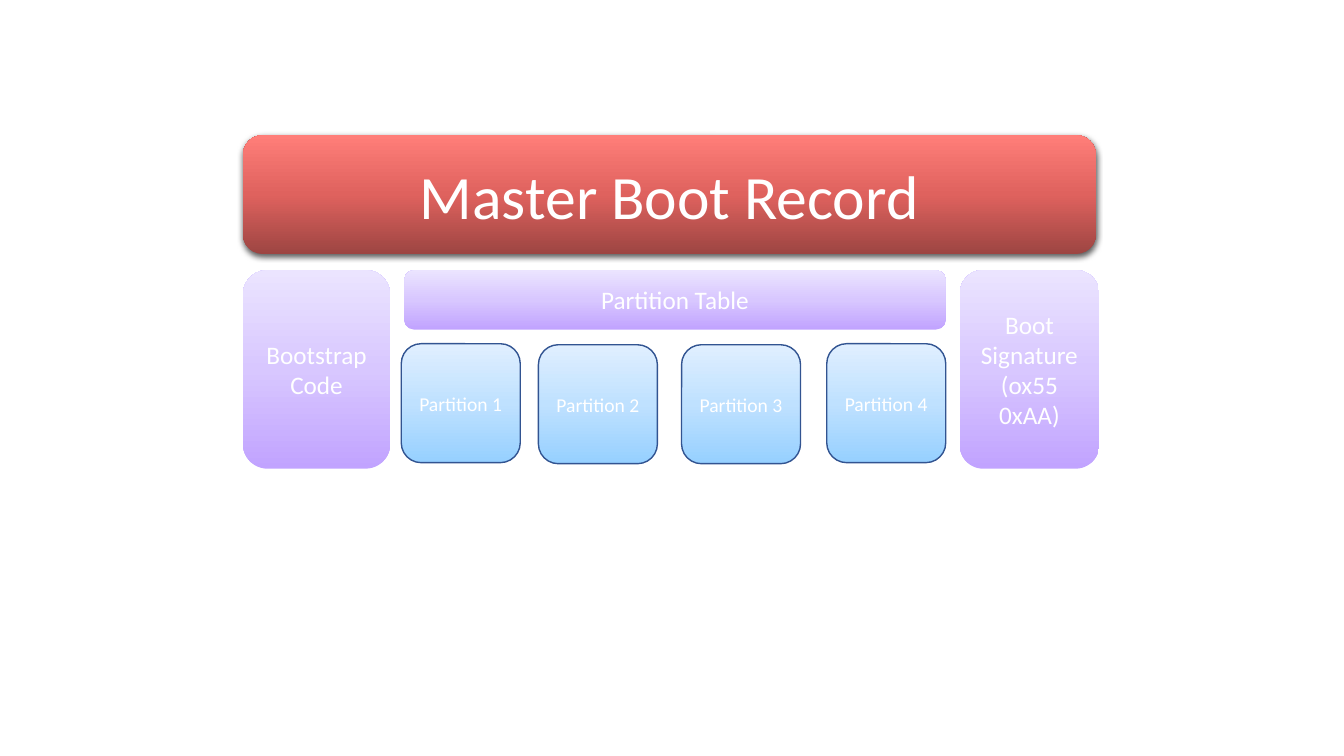
from dataclasses import dataclass
from copy import deepcopy

from lxml.etree import SubElement
from pptx import Presentation
from pptx.dml.color import RGBColor
from pptx.enum.shapes import MSO_SHAPE
from pptx.enum.text import MSO_ANCHOR, PP_ALIGN
from pptx.oxml.ns import qn
from pptx.util import Inches, Pt


@dataclass(frozen=True)
class Theme:
    font: str = "Calibri"
    text: str = "FFFFFF"
    outline: str = "325491"
    shadow: str = "000000"
    # Gradients run from bottom to top
    red: tuple = ("9D4542", "DF625E", "FF7E79")
    purple: tuple = ("C1A3FF", "D8C7FF", "EBE4FF")
    blue: tuple = ("96D0FF", "BFE1FF", "E0EFFF")
    title_size: int = 44
    section_size: int = 18
    partition_size: int = 14


class Diagram:
    def __init__(self, slide, theme):
        self.slide = slide
        self.theme = theme

    def box(self, text, left, top, width, height, colors, size):
        sp = self.slide.shapes.add_shape(
            MSO_SHAPE.ROUNDED_RECTANGLE,
            Inches(left), Inches(top), Inches(width), Inches(height))
        sp.shadow.inherit = False
        sp.line.fill.background()
        self.fill_gradient(sp, colors)
        self.set_label(sp.text_frame, text, size)
        return sp

    def title(self, text, *bounds):
        sp = self.box(text, *bounds, self.theme.red, self.theme.title_size)
        self.drop_shadow(sp)

    def section(self, text, *bounds):
        self.box(text, *bounds, self.theme.purple, self.theme.section_size)

    def partition(self, text, *bounds):
        sp = self.box(text, *bounds, self.theme.blue, self.theme.partition_size)
        sp.line.color.rgb = RGBColor.from_string(self.theme.outline)
        sp.line.width = Pt(1)

    def fill_gradient(self, sp, colors):
        """Fill with three evenly spaced colours from bottom to top."""
        sp.fill.gradient()
        sp.fill.gradient_angle = 90
        stops = sp._element.spPr.find(qn("a:gradFill")).find(qn("a:gsLst"))
        stops.insert(1, deepcopy(stops[0]))
        for i, (stop, color) in enumerate(zip(sp.fill.gradient_stops, colors)):
            stop.position = i / 2
            stop.color.rgb = RGBColor.from_string(color)

    def drop_shadow(self, sp):
        effects = sp._element.spPr.find(qn("a:effectLst"))
        shadow = SubElement(effects, qn("a:outerShdw"), blurRad=str(Pt(4.5)),
                            dist=str(Pt(1.5)), dir="5400000", rotWithShape="0")
        color = SubElement(shadow, qn("a:srgbClr"), val=self.theme.shadow)
        SubElement(color, qn("a:alpha"), val="63000")

    def set_label(self, tf, text, size):
        tf.text = text
        tf.word_wrap = True
        tf.vertical_anchor = MSO_ANCHOR.MIDDLE
        for p in tf.paragraphs:
            p.alignment = PP_ALIGN.CENTER
            for r in p.runs:
                r.font.name = self.theme.font
                r.font.size = Pt(size)
                r.font.color.rgb = RGBColor.from_string(self.theme.text)


def main():
    prs = Presentation()
    prs.slide_width, prs.slide_height = Inches(13.33), Inches(7.5)
    slide = prs.slides.add_slide(prs.slide_layouts[6])
    diagram = Diagram(slide, Theme())

    diagram.title("Master Boot Record", 2.41, 1.34, 8.46, 1.18)

    section_top, section_height = 2.68, 1.97
    diagram.section("Bootstrap\nCode", 2.41, section_top, 1.46, section_height)
    diagram.section("Partition Table", 4.01, section_top, 5.37, 0.59)
    diagram.section("Boot Signature\n(ox55\n0xAA)",
                    9.52, section_top, 1.38, section_height)

    side = 1.18
    corners = [(3.98, 3.41), (5.34, 3.42), (6.76, 3.42), (8.2, 3.41)]
    for number, (left, top) in enumerate(corners, start=1):
        diagram.partition(f"Partition {number}", left, top, side, side)

    prs.save("out.pptx")


if __name__ == "__main__":
    main()
